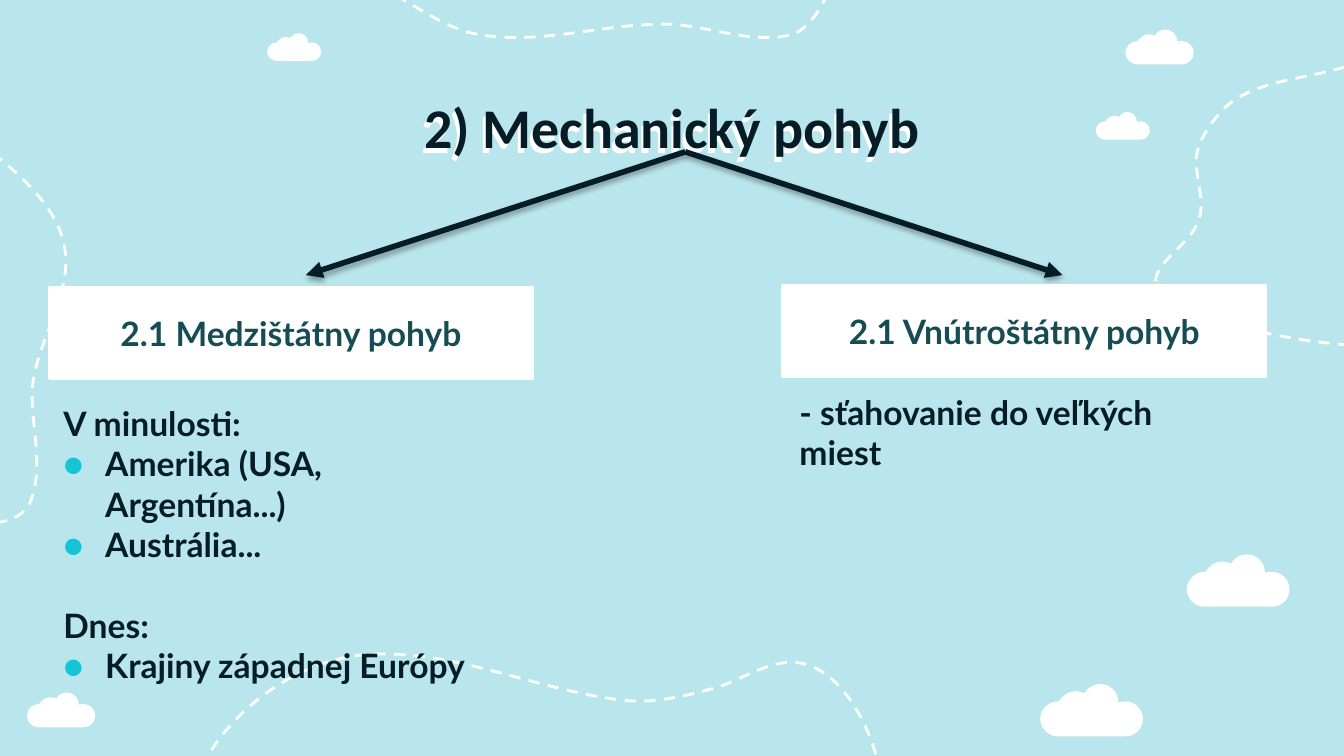
from lxml import etree
from pptx import Presentation
from pptx.dml.color import RGBColor
from pptx.enum.dml import MSO_LINE
from pptx.enum.shapes import MSO_CONNECTOR, MSO_SHAPE
from pptx.enum.text import MSO_ANCHOR, PP_ALIGN
from pptx.oxml.ns import qn
from pptx.util import Cm, Pt

DASH = MSO_LINE.DASH
STRAIGHT = MSO_CONNECTOR.STRAIGHT
RECTANGLE = MSO_SHAPE.RECTANGLE
TOP, MIDDLE = MSO_ANCHOR.TOP, MSO_ANCHOR.MIDDLE
LEFT, CENTER = PP_ALIGN.LEFT, PP_ALIGN.CENTER

SKY = RGBColor(0xB9, 0xE6, 0xED)
WHITE = RGBColor(0xFF, 0xFF, 0xFF)
INK = RGBColor(0x06, 0x1D, 0x28)
TEAL = RGBColor(0x16, 0x4C, 0x54)
BULLET = RGBColor(0x16, 0xC5, 0xD5)
BLACK = RGBColor(0, 0, 0)

TITLE = "2) Mechanický pohyb"
TITLE_BOX = (2, 1.5, 21.41, 1.75)
HEADINGS = [
    ("2.1 Medzištátny pohyb", (0.94, 5.44, 9.12, 1.7)),
    ("2.1 Vnútroštátny pohyb", (14.8, 5.41, 9.12, 1.7)),
]
NOTES = [
    ((0.95, 7.37, 8.74, 5.41), [
        ("V minulosti:", ["Amerika (USA, Argentína...)", "Austrália..."]),
        ("Dnes:", ["Krajiny západnej Európy"]),
    ]),
    ((14.86, 7.15, 8.74, 4.8), [("- sťahovanie do veľkých miest", [])]),
]
ARROW_START = (12.95, 2.87)
ARROW_ENDS = [(5.78, 5.2), (20.08, 5.2)]

TRAILS = [
    ((-0.13, 2.9), [
        (0.48, 3.38, 1.19, 4.04, 1.24, 4.83), (1.3, 5.69, 0.69, 6.48, 0.61, 7.34),
        (0.58, 8.05, 0.84, 8.81, 0.58, 9.47), (0.48, 9.75, 0.13, 9.88, -0.15, 9.88)]),
    ((3.81, 14.5), [
        (4.39, 13.36, 5.69, 12.45, 6.96, 12.37), (8.56, 12.27, 10.11, 13.03, 11.71, 13.23),
        (12.34, 13.31, 12.98, 13.16, 13.59, 12.98), (14.05, 12.83, 14.5, 12.5, 15.01, 12.52),
        (15.85, 12.57, 16.43, 13.67, 16.61, 14.48)]),
    ((25.76, 1.14), [
        (24.84, 1.55, 23.6, 1.42, 22.99, 2.21), (22.81, 2.44, 22.66, 2.67, 22.61, 2.95),
        (22.58, 3.35, 22.81, 3.84, 22.63, 4.22), (22.45, 4.67, 21.74, 4.98, 21.84, 5.46),
        (21.95, 5.97, 22.71, 5.99, 23.19, 6.12), (24.08, 6.35, 25.01, 6.53, 25.88, 6.53)]),
    ((7.49, -0.08), [
        (8, 0.2, 8.51, 0.58, 9.09, 0.66), (10.19, 0.84, 11.3, 0.48, 12.4, 0.46),
        (13.26, 0.41, 14.12, 0.86, 14.94, 0.66), (15.24, 0.58, 15.47, 0.23, 15.6, -0.03)]),
]
CLOUD_START = (100, 34)
CLOUD_SIDES = [
    (100, 25, 93, 17, 83, 17), (80, 17, 78, 17, 76, 18), (76, 18, 76, 17, 76, 17),
    (76, 8, 68, 0, 59, 0), (51, 0, 46, 4, 43, 9), (41, 8, 38, 7, 34, 7),
    (28, 7, 22, 11, 18, 17), (18, 17, 18, 17, 17, 17), (8, 17, 0, 25, 0, 34),
    (0, 43, 8, 51, 17, 51), (83, 51), (93, 51, 100, 43, 100, 34),
]
CLOUDS = [
    (5.05, 0.63, 1.02), (22.43, 10.48, 1.94), (21.27, 0.56, 1.29),
    (20.71, 2.12, 1.02), (19.66, 12.93, 1.94), (0.51, 13.09, 1.29),
]


def add_outline(start, sides, close, left=0, top=0, scale=1):
    def place(numbers):
        return [(Cm(left + x * scale), Cm(top + y * scale))
                for x, y in zip(numbers[::2], numbers[1::2])]

    placed = [place(side) for side in sides]
    builder = slide.shapes.build_freeform(*place(start)[0])
    builder.add_line_segments([side[-1] for side in placed], close=close)
    outline = builder.convert_to_shape()
    outline.shadow.inherit = False
    segments = list(outline._element.iter(qn("a:lnTo")))
    for segment, side in zip(segments, placed):
        if len(side) == 3:
            bend = etree.Element(qn("a:cubicBezTo"))
            for x, y in side:
                etree.SubElement(bend, qn("a:pt"),
                                 x=str(x - outline.left), y=str(y - outline.top))
            segment.getparent().replace(segment, bend)
    return outline


def add_shadow(props, color, blur, distance, angle, opacity):
    effects = etree.SubElement(props, qn("a:effectLst"))
    shadow = etree.SubElement(effects, qn("a:outerShdw"), blurRad=str(Pt(blur)),
                              dist=str(Pt(distance)), dir=str(angle * 60000),
                              algn="bl", rotWithShape="0")
    tint = etree.SubElement(shadow, qn("a:srgbClr"), val=str(color))
    etree.SubElement(tint, qn("a:alpha"), val=str(opacity * 1000))


def add_text_box(box):
    text_box = slide.shapes.add_textbox(*map(Cm, box))
    frame = text_box.text_frame
    frame.word_wrap = True
    frame.vertical_anchor = TOP
    frame.margin_top = frame.margin_bottom = Cm(0.25)
    return text_box


def write(paragraph, text, font="Lato", size=18, color=INK, align=LEFT):
    paragraph.alignment = align
    run = paragraph.add_run()
    run.text = text
    run.font.name, run.font.size, run.font.bold = font, Pt(size), True
    run.font.color.rgb = color


def add_bullet(paragraph):
    props = paragraph._p.get_or_add_pPr()
    props.set("marL", str(Cm(0.79)))
    props.set("indent", str(-Cm(0.79)))
    tint = etree.SubElement(props, qn("a:buClr"))
    etree.SubElement(tint, qn("a:srgbClr"), val=str(BULLET))
    etree.SubElement(props, qn("a:buFont"), typeface="Lato")
    etree.SubElement(props, qn("a:buChar"), char="●")


prs = Presentation()
prs.slide_width, prs.slide_height = Cm(25.4), Cm(14.29)
slide = prs.slides.add_slide(prs.slide_layouts[6])
slide.background.fill.solid()
slide.background.fill.fore_color.rgb = SKY

for start, curves in TRAILS:
    trail = add_outline(start, curves, close=False)
    trail.fill.background()
    trail.line.color.rgb = WHITE
    trail.line.width = Pt(1.5)
    trail.line.dash_style = DASH

for left, top, width in CLOUDS:
    cloud = add_outline(CLOUD_START, CLOUD_SIDES, True, left, top, width / 100)
    cloud.fill.solid()
    cloud.fill.fore_color.rgb = WHITE
    cloud.line.fill.background()

title = add_text_box(TITLE_BOX)
write(title.text_frame.paragraphs[0], TITLE, "Calibri", 30, INK, CENTER)
add_shadow(title._element.spPr, WHITE, 0, 3, 120, 100)

for end in ARROW_ENDS:
    arrow = slide.shapes.add_connector(STRAIGHT, *map(Cm, ARROW_START + end))
    arrow.line.color.rgb = INK
    arrow.line.width = Pt(3)
    etree.SubElement(arrow.line._get_or_add_ln(), qn("a:tailEnd"), type="triangle")
    add_shadow(arrow._element.spPr, BLACK, 3.1, 1.8, 90, 35)

for text, box in HEADINGS:
    heading = slide.shapes.add_shape(RECTANGLE, *map(Cm, box))
    heading.shadow.inherit = False
    heading.fill.solid()
    heading.fill.fore_color.rgb = WHITE
    heading.line.color.rgb = WHITE
    heading.line.width = Pt(2)
    heading.text_frame.vertical_anchor = MIDDLE
    write(heading.text_frame.paragraphs[0], text, color=TEAL, align=CENTER)

for box, groups in NOTES:
    frame = add_text_box(box).text_frame
    for index, (lead, items) in enumerate(groups):
        paragraph = frame.add_paragraph() if index else frame.paragraphs[0]
        if index:
            paragraph.space_before = Pt(21.6)
        write(paragraph, lead)
        for item in items:
            paragraph = frame.add_paragraph()
            add_bullet(paragraph)
            write(paragraph, item)

prs.save("out.pptx")
